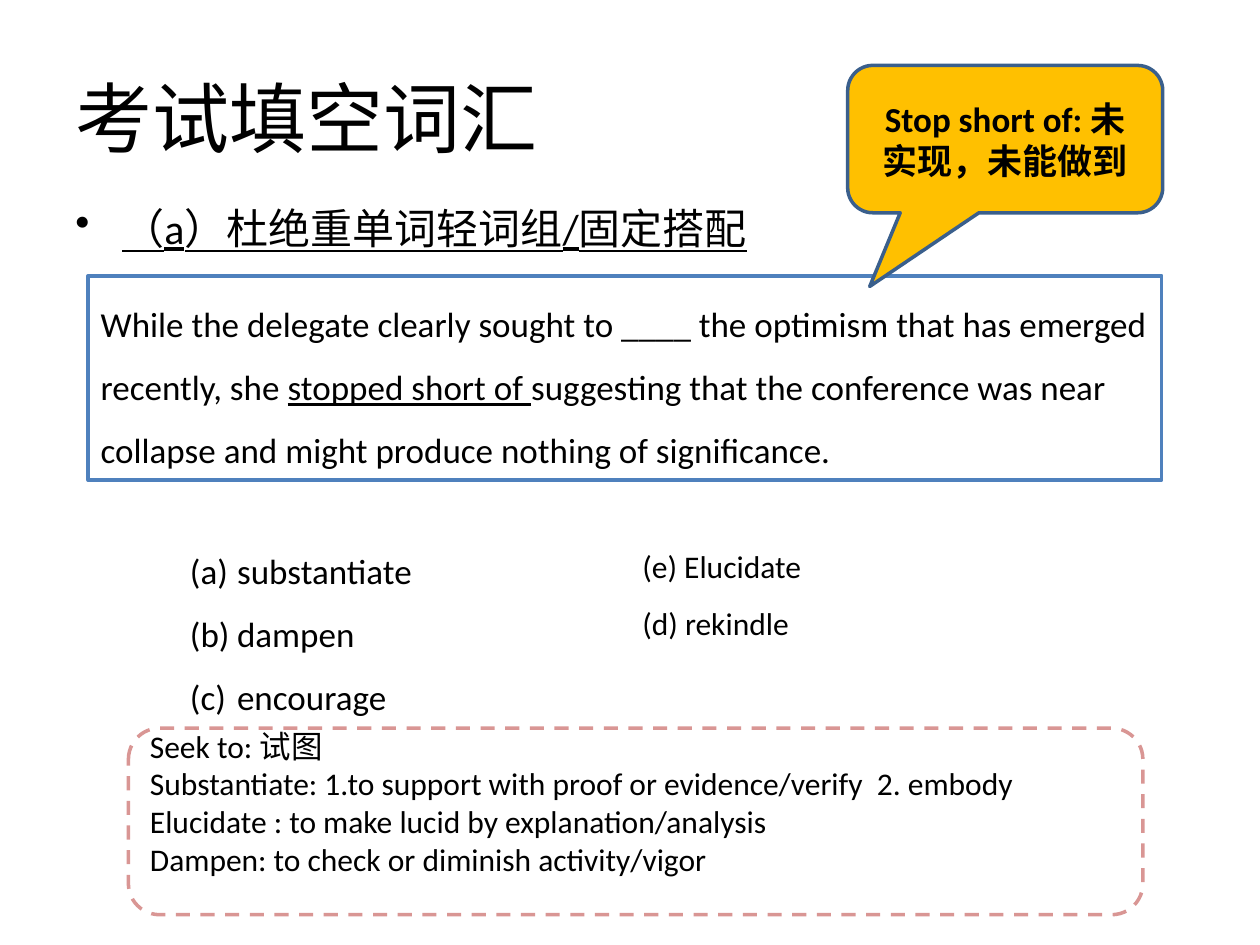
from pptx import Presentation
from pptx import util as u
from pptx.dml.color import RGBColor
from pptx.enum import dml, shapes, text
from pptx.oxml.ns import qn
from lxml import etree

FONT = "Calibri"
COLORS = {
    "text": "000000",
    "paper": "FFFFFF",
    "frame": "4F81BD",
    "callout": "FFC000",
    "callout_line": "3A5F8C",
    "notes_line": "D99694",
}
INDENT = u.Cm(0.95)


def rgb(name):
    return RGBColor.from_string(COLORS[name])


def write(sp, paragraphs, size, bold=None, align=text.PP_ALIGN.LEFT,
          anchor=text.MSO_ANCHOR.TOP, spacing=None, wrap=True):
    """Fill a shape; each paragraph is a list of (wording, underlined)."""
    tf = sp.text_frame
    tf.word_wrap = wrap
    tf.vertical_anchor = anchor
    for i, runs in enumerate(paragraphs):
        p = tf.paragraphs[0] if i == 0 else tf.add_paragraph()
        p.alignment = align
        p.line_spacing = spacing
        p.font.name, p.font.size, p.font.bold = FONT, u.Pt(size), bold
        p.font.color.rgb = rgb("text")
        for wording, underlined in runs:
            r = p.add_run()
            r.text = wording
            if underlined:
                r.font.underline = True
    return tf


def plain(*lines):
    return [[(line, False)] for line in lines]


def add_text(slide, box, paragraphs, size, **style):
    sp = slide.shapes.add_textbox(*map(u.Cm, box))
    return write(sp, paragraphs, size, **style)


def add_box(slide, kind, box, fill, line, dash=None):
    sp = slide.shapes.add_shape(kind, *map(u.Cm, box))
    sp.shadow.inherit = False
    if fill:
        sp.fill.solid()
        sp.fill.fore_color.rgb = rgb(fill)
    else:
        sp.fill.background()
    sp.line.color.rgb = rgb(line)
    sp.line.width = u.Pt(2)
    if dash:
        sp.line.dash_style = dash
    return sp


def add_bullets(tf, tag, **attributes):
    """Give every paragraph a hanging indent and a bullet or number."""
    for p in tf.paragraphs:
        pPr = p._p.get_or_add_pPr()
        pPr.set("marL", str(INDENT))
        pPr.set("indent", str(-INDENT))
        bullet = etree.Element(qn(tag), attributes)
        pPr.insert_element_before(bullet, "a:tabLst", "a:defRPr", "a:extLst")


def main():
    prs = Presentation()
    prs.slide_width, prs.slide_height = u.Cm(25.4), u.Cm(19.05)
    slide = prs.slides.add_slide(prs.slide_layouts[6])

    # Title and topic
    add_text(slide, (1.27, 0.76, 22.86, 3.18), plain("考试填空词汇"), 44,
             anchor=text.MSO_ANCHOR.MIDDLE)
    topic = add_text(slide, (1.27, 3.96, 22.86, 1.32),
                     [[("（a）杜绝重单词轻词组/固定搭配", True)]], 24)
    topic.paragraphs[0].space_before = u.Pt(4.8)
    add_bullets(topic, "a:buChar", char="•")

    # Question
    question = add_box(slide, shapes.MSO_SHAPE.RECTANGLE,
                       (1.78, 5.56, 21.64, 4.12), "paper", "frame")
    write(question, [[
        ("While the delegate clearly sought to ____ the optimism that has "
         "emerged recently, she ", False),
        ("stopped short of ", True),
        ("suggesting that the conference was near collapse and might produce "
         "nothing of significance.", False),
    ]], 20, spacing=1.5)

    # Answer choices
    choices = add_text(slide, (3.58, 10.52, 5.94, 4.12),
                       plain("substantiate", "dampen", "encourage"), 20,
                       spacing=1.5)
    add_bullets(choices, "a:buAutoNum", type="alphaLcParenBoth")
    more = add_text(slide, (12.7, 10.52, 3.76, 3.33),
                    plain("(e) Elucidate", "(d) rekindle"), 18,
                    spacing=1.5, wrap=False)
    add_bullets(more, "a:buNone")

    # Phrase callout
    callout = add_box(slide, shapes.MSO_SHAPE.ROUNDED_RECTANGULAR_CALLOUT,
                      (17.09, 1.32, 6.35, 2.97), "callout", "callout_line")
    for i, value in enumerate((-0.43, 1.0, 0.17)):
        callout.adjustments[i] = value
    write(callout, plain("Stop short of: 未实现，未能做到"), 20, bold=True,
          align=text.PP_ALIGN.CENTER, anchor=text.MSO_ANCHOR.MIDDLE)

    # Definitions
    notes = add_box(slide, shapes.MSO_SHAPE.ROUNDED_RECTANGLE,
                    (2.59, 14.68, 20.45, 3.76), None, "notes_line",
                    dml.MSO_LINE.DASH)
    tf = write(notes, plain(
        "Seek to: 试图",
        "Substantiate: 1.to support with proof or evidence/verify  2. embody",
        "Elucidate : to make lucid by explanation/analysis",
        "Dampen: to check or diminish activity/vigor",
    ), 18, anchor=text.MSO_ANCHOR.MIDDLE)
    tf.margin_bottom = u.Cm(0.9)

    prs.save("out.pptx")


main()
